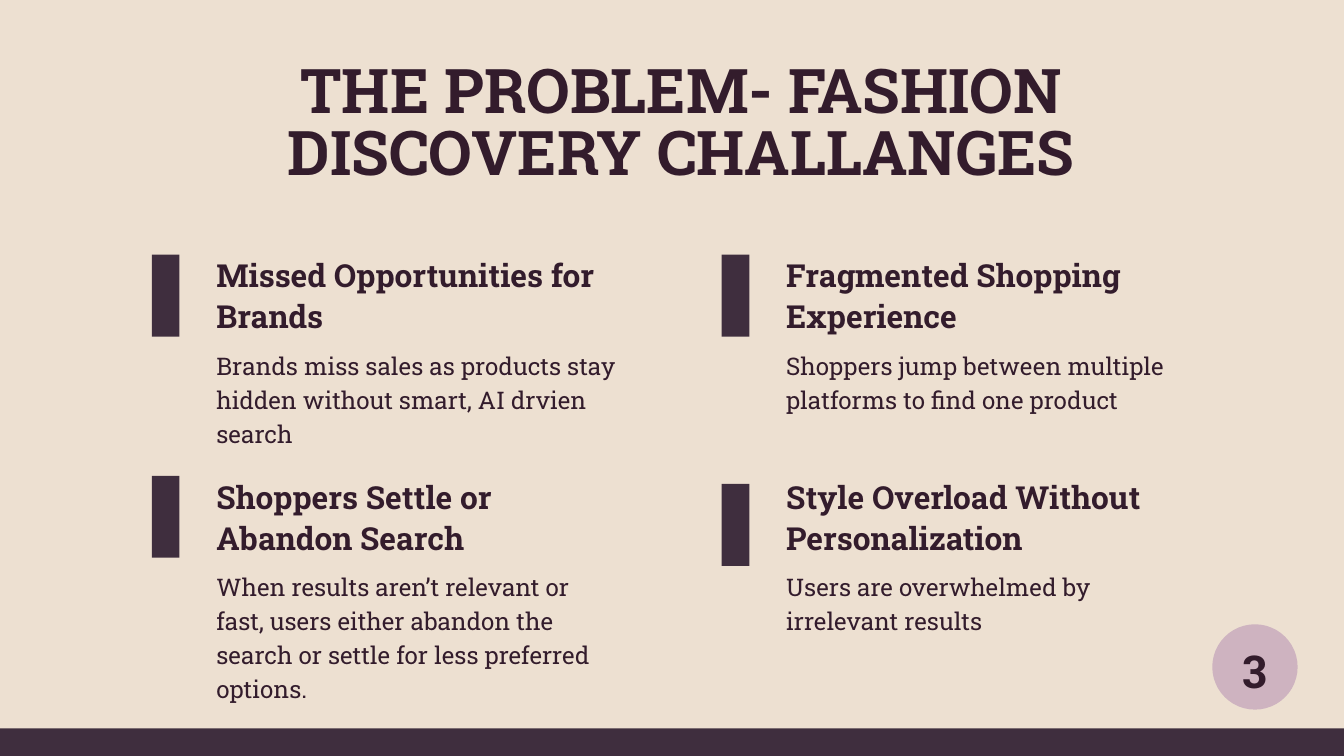
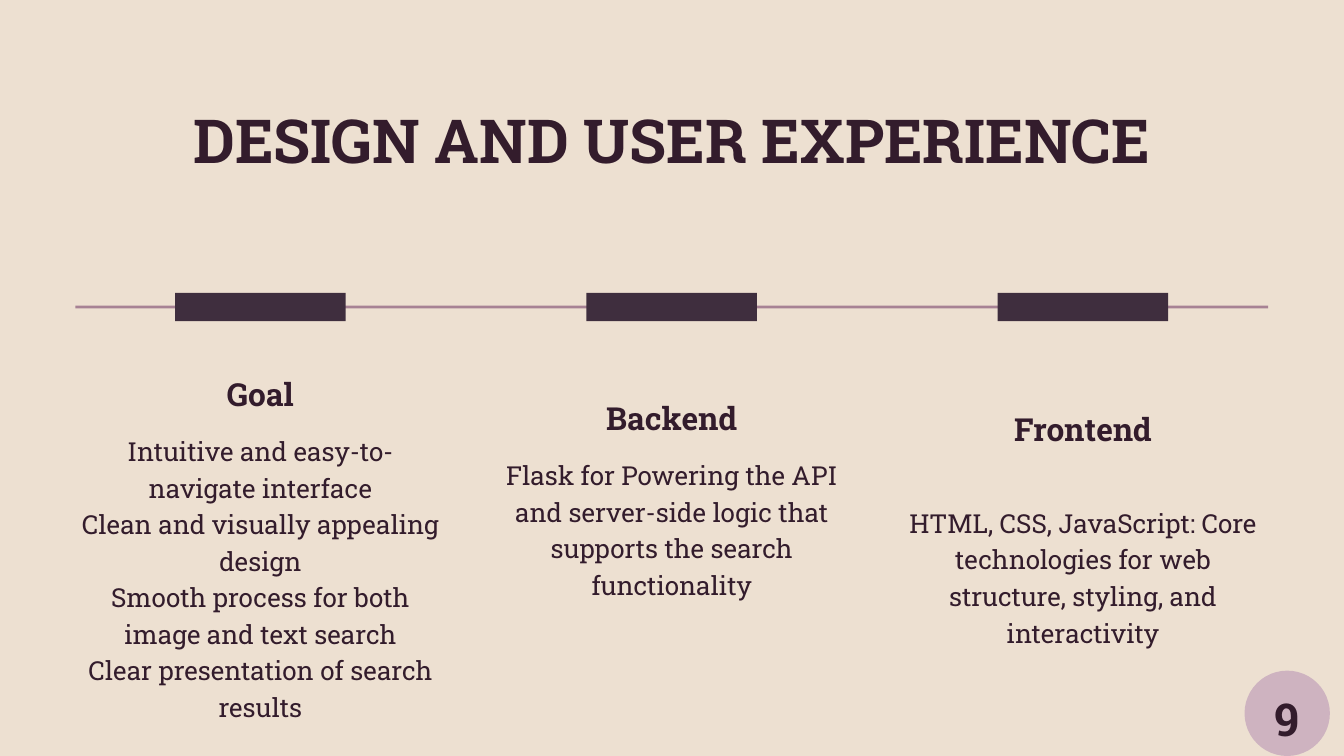
from pptx import Presentation
from pptx.dml.color import RGBColor
from pptx.enum.shapes import MSO_SHAPE
from pptx.enum.text import PP_ALIGN
from pptx.util import Inches, Pt

W, H = 20, 11.25
FONT = "Roboto Slab"
COLORS = {"paper": "EDE0D1", "ink": "331C2C", "bar": "3F2E3E", "badge": "CEB3C0", "rule": "A78294"}

PROBLEM_TITLE = "THE PROBLEM- FASHION DISCOVERY CHALLANGES"
PROBLEMS = [
    ("Missed Opportunities for Brands",
     "Brands miss sales as products stay hidden without smart, AI drvien search", 0),
    ("Fragmented Shopping Experience",
     "Shoppers jump between multiple platforms to find one product", 0),
    ("Shoppers Settle or Abandon Search",
     "When results aren’t relevant or fast, users either abandon the search or settle "
     "for less preferred options.", 0),
    ("Style Overload Without Personalization",
     "Users are overwhelmed by irrelevant results", 0.12),
]

DESIGN_TITLE = "DESIGN AND USER EXPERIENCE"
DESIGN = [
    ("Goal", 5.48, 0.92, [
        "Intuitive and easy-to-navigate interface",
        "Clean and visually appealing design",
        "Smooth process for both image and text search",
        "Clear presentation of search results"]),
    ("Backend", 5.84, 0.92, [
        "Flask for Powering the API and server-side logic that supports the search functionality"]),
    ("Frontend", 6.01, 1.46, [
        "HTML, CSS, JavaScript: Core technologies for web structure, styling, and interactivity"]),
]


def rgb(name):
    return RGBColor.from_string(COLORS[name])


def add_text(s, lines, x, y, w, h, size, leading, bold=False, align=PP_ALIGN.CENTER):
    tf = s.shapes.add_textbox(Inches(x), Inches(y), Inches(w), Inches(h)).text_frame
    tf.word_wrap = True
    tf.margin_left = tf.margin_right = tf.margin_top = tf.margin_bottom = 0
    for i, line in enumerate([lines] if isinstance(lines, str) else lines):
        p = tf.paragraphs[0] if i == 0 else tf.add_paragraph()
        p.alignment = align
        p.line_spacing = Pt(leading)
        r = p.add_run()
        r.text = line
        r.font.name, r.font.size, r.font.bold = FONT, Pt(size), bold
        r.font.color.rgb = rgb("ink")


def add_block(s, x, y, w, h, color="bar", kind=MSO_SHAPE.RECTANGLE):
    sp = s.shapes.add_shape(kind, Inches(x), Inches(y), Inches(w), Inches(h))
    sp.shadow.inherit = False
    sp.fill.solid()
    sp.fill.fore_color.rgb = rgb(color)
    sp.line.fill.background()


def add_badge(s, number, x, y, drop):
    add_block(s, x, y, 1.27, 1.27, "badge", MSO_SHAPE.OVAL)
    add_text(s, number, x - 0.02, y + drop, 1.31, 0.88, 48.5, 67.9, bold=True)


def add_slide(prs):
    s = prs.slides.add_slide(prs.slide_layouts[6])
    s.background.fill.solid()
    s.background.fill.fore_color.rgb = rgb("paper")
    return s


def build_problem(prs):
    s = add_slide(prs)
    add_text(s, PROBLEM_TITLE, 2.26, 0.96, 15.76, 1.91, 66, 66, bold=True)
    for i, (head, body, bar_drop) in enumerate(PROBLEMS):
        row, col = divmod(i, 2)
        x, y = 3.22 + col * 8.48, 3.77 + row * 3.29
        add_block(s, x - 0.96, y + 0.02 + bar_drop, 0.41, 1.22)
        add_text(s, head, x, y, 6.04, 1.19, 34, 43.9, bold=True, align=PP_ALIGN.LEFT)
        add_text(s, body, x, y + 1.39, 6.04, 1.47, 26, 36.4, align=PP_ALIGN.LEFT)
    add_block(s, 0, H - 0.41, W, 0.41)
    add_badge(s, "3", 18.04, 9.29, 0.14)


def build_design(prs):
    s = add_slide(prs)
    left, col_w, step, bar_w = 1.12, 5.51, 6.12, 2.54
    add_text(s, DESIGN_TITLE, 2.29, 1.53, 15.43, 1.1, 65, 78, bold=True)
    add_block(s, left, 4.55, 2 * step + col_w, 0.04, "rule")
    for i, (head, y, body_drop, lines) in enumerate(DESIGN):
        x = left + i * step
        add_block(s, x + (col_w - bar_w) / 2, 4.36, bar_w, 0.42)
        add_text(s, head, x, y, col_w, 0.62, 34, 47.6, bold=True)
        add_text(s, lines, x, y + body_drop, col_w, 1.07 * len(lines), 28, 39.2)
    add_badge(s, "9", 18.52, H - 1.27, 0.17)


def main():
    """Build the two slides and save them."""
    prs = Presentation()
    prs.slide_width, prs.slide_height = Inches(W), Inches(H)
    build_problem(prs)
    build_design(prs)
    prs.save("out.pptx")


if __name__ == "__main__":
    main()
